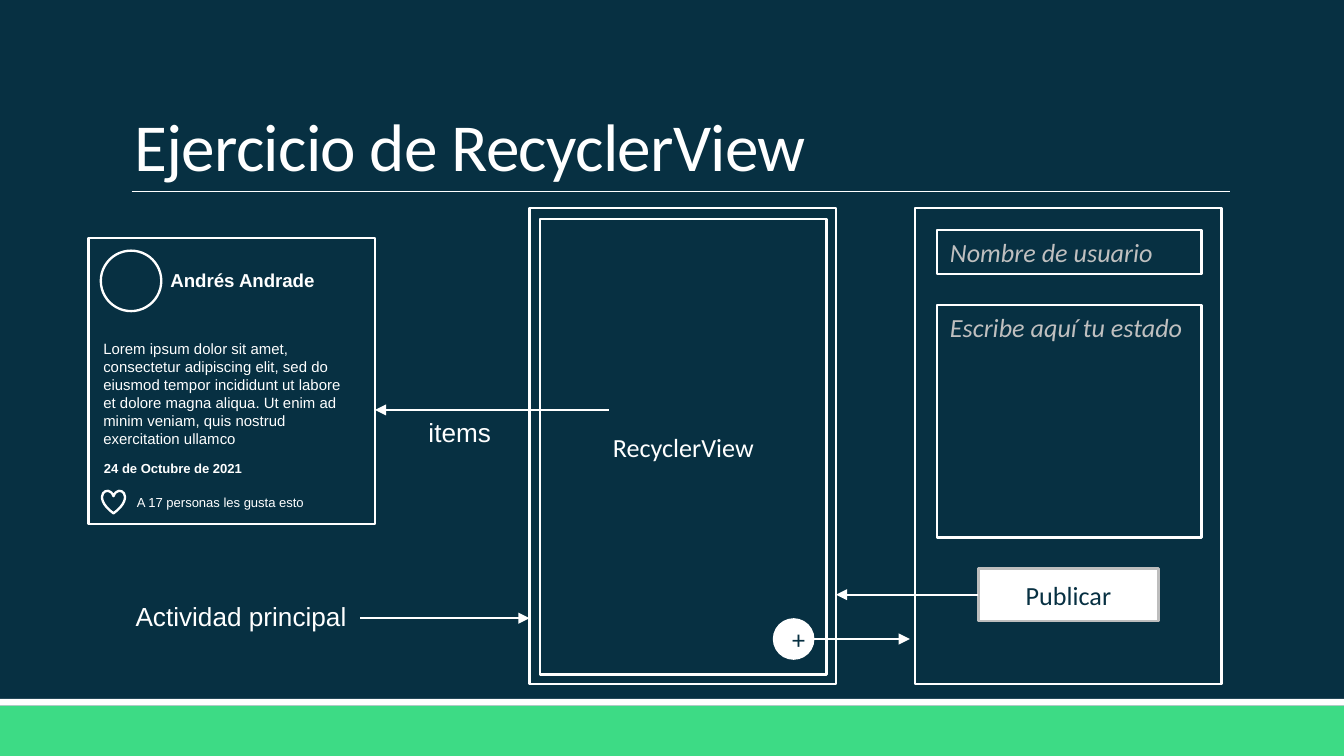
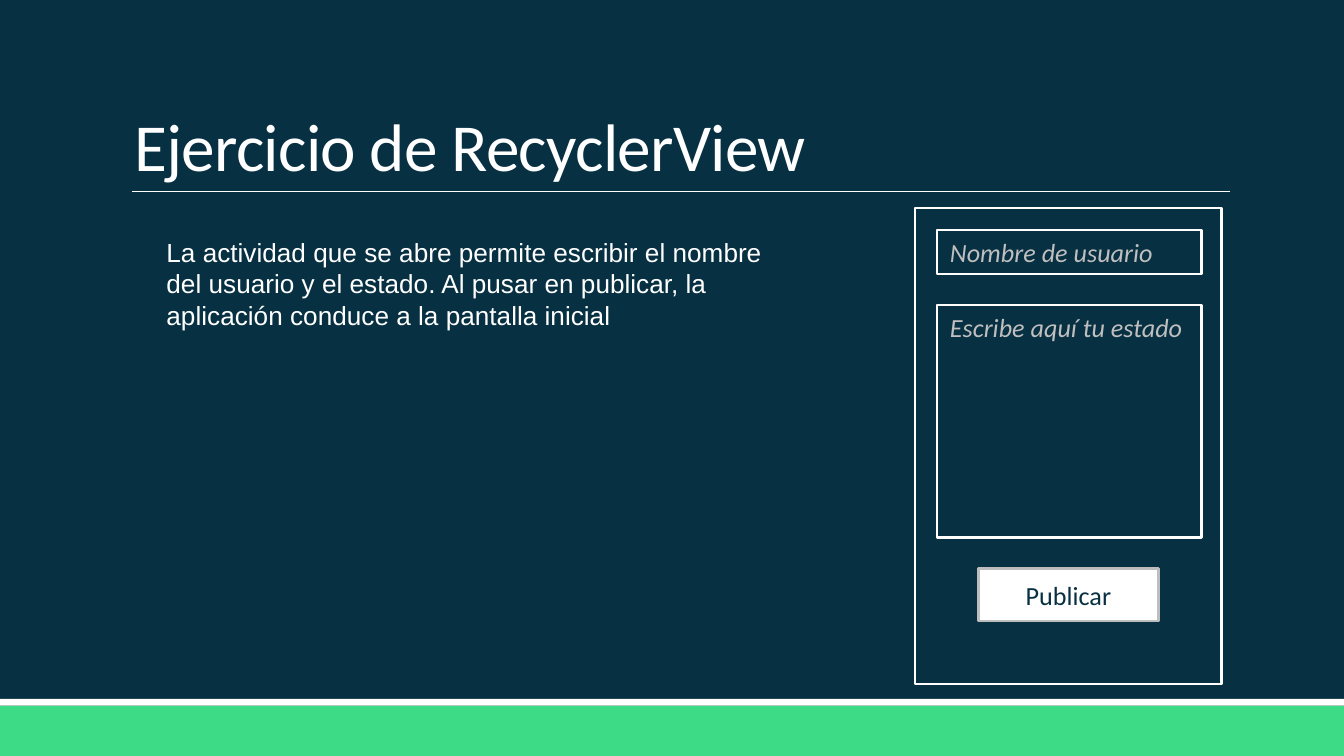
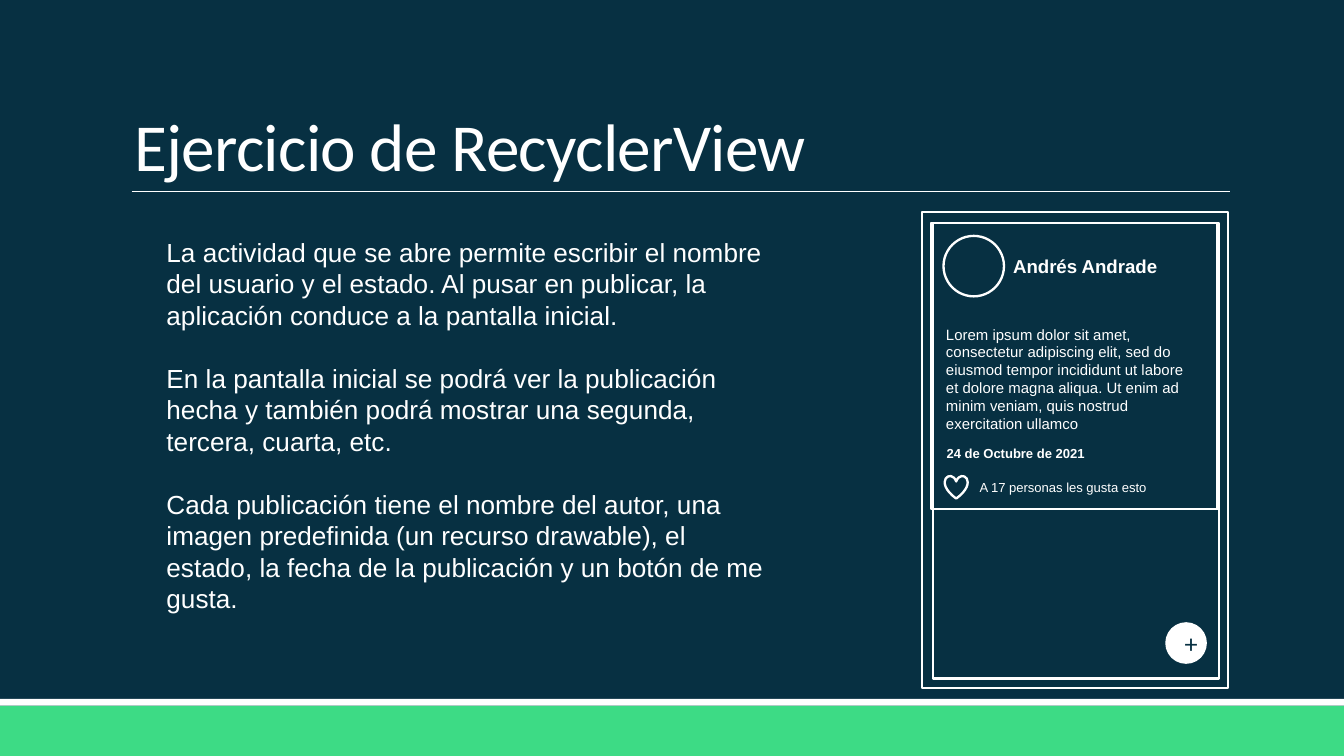
from dataclasses import dataclass

from lxml.etree import SubElement
from pptx import Presentation
from pptx.dml.color import RGBColor
from pptx.enum.shapes import MSO_CONNECTOR, MSO_SHAPE
from pptx.enum.text import MSO_ANCHOR, MSO_AUTO_SIZE, PP_ALIGN
from pptx.oxml.ns import qn
from pptx.util import Inches, Pt


@dataclass(frozen=True)
class Theme:
    """Colours, fonts, type sizes and line widths of the deck."""
    navy: str = "073042"
    green: str = "3DDB85"
    white: str = "FFFFFF"
    hint: str = "BFBFBF"
    button_edge: str = "BDBDBD"
    heading_font: str = "Calibri"
    body_font: str = "Arial"
    title_size: float = 36
    body_size: float = 14
    author_size: float = 10
    status_size: float = 8
    detail_size: float = 7
    paragraph_gap: float = 17
    outline: float = 1.25
    arrow: float = 1
    rule: float = 0.5


@dataclass(frozen=True)
class Box:
    """A region measured in grid columns, and in rows of the same length."""
    left: float
    top: float
    width: float
    height: float

    def inner(self, left, top, width, height):
        """Return a box whose place is relative to this one."""
        return Box(self.left + left, self.top + top, width, height)

    @property
    def right(self):
        """Return the right edge."""
        return self.left + self.width

    @property
    def emu(self):
        """Return the box in slide units."""
        return [grid(value) for value in (self.left, self.top, self.width, self.height)]


THEME = Theme()
SLIDE_WIDTH = Inches(10)
SLIDE_HEIGHT = Inches(5.625)
COLUMNS = 100
ROWS = 56.25
PHONE_SIZE = (22.8, 35.4)
CARD_SIDE = 21.3

TITLE = "Ejercicio de RecyclerView"
STATUS = (
    "Lorem ipsum dolor sit amet, consectetur adipiscing elit, sed do eiusmod tempor "
    "incididunt ut labore et dolore magna aliqua. Ut enim ad minim veniam, quis nostrud "
    "exercitation ullamco"
)
FORM_NOTE = (
    "La actividad que se abre permite escribir el nombre del usuario y el estado. "
    "Al pusar en publicar, la aplicación conduce a la pantalla inicial"
)
FEED_NOTES = [
    FORM_NOTE + ".",
    "En la pantalla inicial se podrá ver la publicación hecha y también podrá mostrar "
    "una segunda, tercera, cuarta, etc.",
    "Cada publicación tiene el nombre del autor, una imagen predefinida (un recurso "
    "drawable), el estado, la fecha de la publicación y un botón de me gusta.",
]


def grid(columns):
    """Convert grid columns to slide units."""
    return round(columns * SLIDE_WIDTH / COLUMNS)


def rgb(colour):
    """Convert a hexadecimal colour."""
    return RGBColor.from_string(colour)


def write(shape, texts, size=THEME.body_size, font=THEME.body_font, colour=THEME.white,
          bold=False, italic=False, align=PP_ALIGN.LEFT, anchor=MSO_ANCHOR.TOP):
    """Fill a shape with evenly styled paragraphs."""
    frame = shape.text_frame
    frame.vertical_anchor = anchor
    frame.text = "\n".join(texts)
    for paragraph in frame.paragraphs:
        paragraph.alignment = align
        paragraph.font.size = Pt(size)
        paragraph.font.name = font
        paragraph.font.color.rgb = rgb(colour)
        paragraph.font.bold = bold
        paragraph.font.italic = italic
    for paragraph in frame.paragraphs[:-1]:
        paragraph.space_after = Pt(THEME.paragraph_gap)


def add_text(slide, box, *texts, wrap=True, fit=True, **style):
    """Add a text box and return it."""
    shape = slide.shapes.add_textbox(*box.emu)
    shape.text_frame.word_wrap = wrap
    shape.text_frame.auto_size = MSO_AUTO_SIZE.SHAPE_TO_FIT_TEXT if fit else MSO_AUTO_SIZE.NONE
    write(shape, texts, **style)
    return shape


def add_figure(slide, box, kind=MSO_SHAPE.RECTANGLE, fill=None, line=THEME.white):
    """Add a preset shape, outlined or filled, and return it."""
    shape = slide.shapes.add_shape(kind, *box.emu)
    shape.shadow.inherit = False
    if fill:
        shape.fill.solid()
        shape.fill.fore_color.rgb = rgb(fill)
    else:
        shape.fill.background()
    if line:
        shape.line.color.rgb = rgb(line)
        shape.line.width = Pt(THEME.outline)
    else:
        shape.line.fill.background()
    return shape


def add_line(slide, start, end, row, width=THEME.arrow, arrow=True):
    """Add a horizontal line, with an arrowhead at its end if asked."""
    connector = slide.shapes.add_connector(
        MSO_CONNECTOR.STRAIGHT, grid(start), grid(row), grid(end), grid(row))
    connector.line.color.rgb = rgb(THEME.white)
    connector.line.width = Pt(width)
    properties = connector.element.spPr
    if arrow:
        SubElement(properties.find(qn("a:ln")), qn("a:tailEnd"), type="triangle")
    SubElement(properties, qn("a:effectLst"))
    return connector


def add_titled_slide(presentation):
    """Add a slide with the shared background, bands, rule and title."""
    slide = presentation.slides.add_slide(presentation.slide_layouts[6])
    slide.background.fill.solid()
    slide.background.fill.fore_color.rgb = rgb(THEME.navy)
    add_figure(slide, Box(0, 52.5, COLUMNS, ROWS - 52.5), fill=THEME.green, line=None)
    add_figure(slide, Box(0, 52, COLUMNS, 0.5), fill=THEME.white, line=None)
    add_line(slide, 9.8, 91.5, 14.25, THEME.rule, arrow=False)
    title = add_text(slide, Box(9, 2.4, 82.5, 11.9), TITLE, fit=False, size=THEME.title_size,
                     font=THEME.heading_font, anchor=MSO_ANCHOR.BOTTOM)
    paragraph = title.text_frame.paragraphs[0]
    paragraph.line_spacing = 0.85
    for properties in title.element.iter(qn("a:defRPr")):
        properties.set("spc", "-40")
    for run in title.element.iter(qn("a:r")):
        run.get_or_add_rPr().set("spc", "-40")
    return slide


def add_main_screen(slide, box, label=None):
    """Draw the main activity with its list area and add button."""
    add_figure(slide, box)
    list_area = add_figure(slide, box.inner(0.8, 0.8, 21.3, 33.9))
    centred = {"font": THEME.heading_font, "align": PP_ALIGN.CENTER, "anchor": MSO_ANCHOR.MIDDLE}
    if label:
        write(list_area, [label], **centred)
    add_button = add_figure(slide, box.inner(18.1, 30.5, 3.1, 3.1), MSO_SHAPE.OVAL,
                            THEME.white, None)
    write(add_button, ["+"], colour=THEME.navy, **centred)


def add_post_card(slide, box):
    """Draw one published post."""
    add_figure(slide, box)
    add_figure(slide, box.inner(0.9, 0.95, 4.5, 4.5), MSO_SHAPE.OVAL)
    add_figure(slide, box.inner(1, 18.8, 1.7, 1.7), MSO_SHAPE.HEART)
    add_text(slide, box.inner(2.6, 18.6, 15.5, 2.2), "A 17 personas les gusta esto",
             size=THEME.detail_size)
    add_text(slide, box.inner(5.1, 1.85, 14.7, 2.7), "Andrés Andrade",
             size=THEME.author_size, bold=True)
    add_text(slide, box.inner(0.1, 7.1, 20.8, 9.1), STATUS, size=THEME.status_size)
    add_text(slide, box.inner(0.15, 16.05, 15.5, 2.2), "24 de Octubre de 2021",
             size=THEME.detail_size, bold=True)


def add_form_screen(slide, box):
    """Draw the publishing form and return its button."""
    add_figure(slide, box)
    fields = [("Nombre de usuario", 1.6, 3.3), ("Escribe aquí tu estado", 7.2, 17.3)]
    for hint, top, height in fields:
        field = add_figure(slide, box.inner(1.6, top, 19.7, height))
        write(field, [hint], font=THEME.heading_font, colour=THEME.hint, italic=True)
    button = add_figure(slide, box.inner(4.7, 26.8, 13.4, 3.9), fill=THEME.white,
                        line=THEME.button_edge)
    write(button, ["Publicar"], font=THEME.heading_font, colour=THEME.navy,
          align=PP_ALIGN.CENTER, anchor=MSO_ANCHOR.MIDDLE)
    return button


def add_overview_slide(presentation, form):
    """Show how the post, the main screen and the form relate."""
    slide = add_titled_slide(presentation)
    main_screen = Box(39.4, 15.5, *PHONE_SIZE)
    card = Box(6.6, 17.7, CARD_SIDE, CARD_SIDE)
    add_main_screen(slide, main_screen, "RecyclerView")
    add_post_card(slide, card)
    button = add_form_screen(slide, form)
    add_line(slide, main_screen.left + 21.2, form.left - 0.4, 47.55)
    add_line(slide, form.left + 4.7, main_screen.right, 44.25).begin_connect(button, 1)
    add_line(slide, 45.3, card.right, 30.5)
    add_line(slide, 26.8, main_screen.left, 46)
    add_text(slide, Box(30.9, 30.5, 6.7, 3.4), "items", wrap=False)
    add_text(slide, Box(9.1, 44.2, 17.8, 3.4), "Actividad principal", wrap=False)


def add_form_slide(presentation, form, notes):
    """Explain the publishing form."""
    slide = add_titled_slide(presentation)
    add_text(slide, notes, FORM_NOTE)
    add_form_screen(slide, form)


def add_feed_slide(presentation, notes):
    """Explain the main screen with a published post."""
    slide = add_titled_slide(presentation)
    main_screen = Box(68.6, 15.8, *PHONE_SIZE)
    add_text(slide, notes, *FEED_NOTES)
    add_main_screen(slide, main_screen)
    add_post_card(slide, main_screen.inner(0.7, 0.8, CARD_SIDE, CARD_SIDE))


def main():
    """Build and save the presentation."""
    presentation = Presentation()
    presentation.slide_width = SLIDE_WIDTH
    presentation.slide_height = SLIDE_HEIGHT
    form = Box(68.1, 15.5, *PHONE_SIZE)
    notes = Box(11.4, 17.1, 46.5, 29.3)
    add_overview_slide(presentation, form)
    add_form_slide(presentation, form, notes.inner(0, 0, notes.width, 8.1))
    add_feed_slide(presentation, notes)
    presentation.save("out.pptx")


if __name__ == "__main__":
    main()
